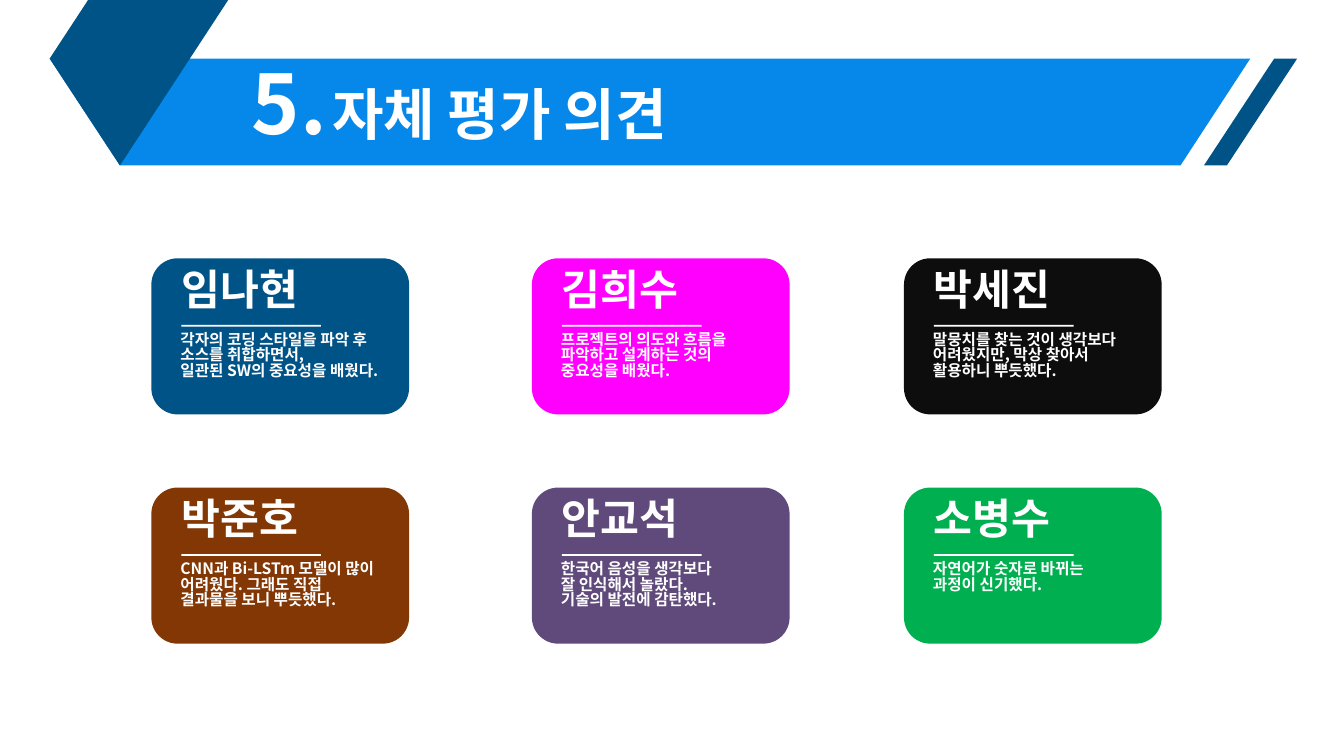
from pptx import Presentation
from pptx import util as u
from pptx.dml.color import RGBColor
from pptx.enum import shapes, text
from pptx.oxml.ns import qn

FONT = "Noto Sans CJK KR"
COLORS = {
    "white": "FFFFFF",
    "navy": "005386",
    "blue": "0688EB",
    "magenta": "FF00FF",
    "black": "0D0D0D",
    "brown": "823704",
    "purple": "604A7B",
    "green": "00B050",
}

BANNER_TOP, BANNER_BOTTOM = 1.25, 3.53
BANNER_PARTS = [
    ("navy", [(27.19, BANNER_TOP), (25.69, BANNER_BOTTOM),
              (26.18, BANNER_BOTTOM), (27.68, BANNER_TOP)]),
    ("blue", [(2.56, BANNER_BOTTOM), (25.19, BANNER_BOTTOM),
              (26.68, BANNER_TOP), (1.06, BANNER_TOP)]),
    ("navy", [(2.56, BANNER_BOTTOM), (1.06, BANNER_TOP), (1.88, 0), (4.87, 0)]),
]

CARD_LEFTS = [3.23, 11.35, 19.29]
CARD_TOP, ROW_PITCH = 5.51, 4.89
CARD_WIDTH, CARD_HEIGHT, CARD_RADIUS = 5.5, 3.33, 0.56
OPINIONS = [
    ("임나현", "navy", "각자의 코딩 스타일을 파악 후\n소스를 취합하면서,\n일관된 SW의 중요성을 배웠다."),
    ("김희수", "magenta", "프로젝트의 의도와 흐름을\n파악하고 설계하는 것의\n중요성을 배웠다."),
    ("박세진", "black", "말뭉치를 찾는 것이 생각보다\n어려웠지만, 막상 찾아서\n활용하니 뿌듯했다."),
    ("박준호", "brown", "CNN과 Bi-LSTm 모델이 많이\n어려웠다. 그래도 직접\n결과물을 보니 뿌듯했다."),
    ("안교석", "purple", "한국어 음성을 생각보다\n잘 인식해서 놀랐다.\n기술의 발전에 감탄했다."),
    ("소병수", "green", "자연어가 숫자로 바뀌는\n과정이 신기했다."),
]


def paint(shape, color):
    shape.shadow.inherit = False
    shape.fill.solid()
    shape.fill.fore_color.rgb = RGBColor.from_string(COLORS[color])
    shape.line.fill.background()


def add_block(slide, kind, left, top, width, height, color):
    shape = slide.shapes.add_shape(
        kind, u.Inches(left), u.Inches(top), u.Inches(width), u.Inches(height))
    paint(shape, color)
    return shape


def add_polygon(slide, points, color):
    corners = [(u.Inches(x), u.Inches(y)) for x, y in points]
    builder = slide.shapes.build_freeform(*corners[0])
    builder.add_line_segments(corners[1:], close=True)
    paint(builder.convert_to_shape(), color)


def add_text(slide, content, left, top, width, height, size, color="white", bold=True):
    """Place text without margins, one paragraph for each line of content."""
    box = slide.shapes.add_textbox(
        u.Inches(left), u.Inches(top), u.Inches(width), u.Inches(height))
    frame = box.text_frame
    frame.word_wrap = True
    frame.vertical_anchor = text.MSO_ANCHOR.TOP
    frame.margin_left = frame.margin_right = frame.margin_top = frame.margin_bottom = 0
    frame.text = content
    for paragraph in frame.paragraphs:
        paragraph.line_spacing = 0.83
        for run in paragraph.runs:
            run.font.name = FONT
            run.font.size = u.Pt(size)
            run.font.bold = bold
            run.font.color.rgb = RGBColor.from_string(COLORS[color])
            east_asian = run.font._element.makeelement(qn("a:ea"), {"typeface": FONT})
            run.font._element.find(qn("a:latin")).addnext(east_asian)


def add_banner(slide):
    for color, points in BANNER_PARTS:
        add_polygon(slide, points, color)
    add_text(slide, "5.", 5.37, 1.48, 1.67, 2.12, size=126)
    add_text(slide, "자체 평가 의견", 7.09, 1.93, 7.65, 1.45, size=86)


def add_opinion_card(slide, left, top, name, color, opinion):
    card = add_block(slide, shapes.MSO_SHAPE.ROUNDED_RECTANGLE,
                     left, top, CARD_WIDTH, CARD_HEIGHT, color)
    card.adjustments[0] = CARD_RADIUS / CARD_HEIGHT
    add_text(slide, name, left + 0.64, top + 0.29, 2.62, 1.09, size=65)
    add_block(slide, shapes.MSO_SHAPE.RECTANGLE,
              left + 0.64, top + 1.42, 2.98, 0.04, "white")
    add_text(slide, opinion, left + 0.62, top + 1.59, 4.66, 1.21, size=24)


def main():
    presentation = Presentation()
    presentation.slide_width = u.Inches(28.68)
    presentation.slide_height = u.Inches(16.04)
    slide = presentation.slides.add_slide(presentation.slide_layouts[6])
    add_banner(slide)
    for index, (name, color, opinion) in enumerate(OPINIONS):
        row, column = divmod(index, len(CARD_LEFTS))
        add_opinion_card(slide, CARD_LEFTS[column], CARD_TOP + row * ROW_PITCH,
                         name, color, opinion)
    presentation.save("out.pptx")


if __name__ == "__main__":
    main()
